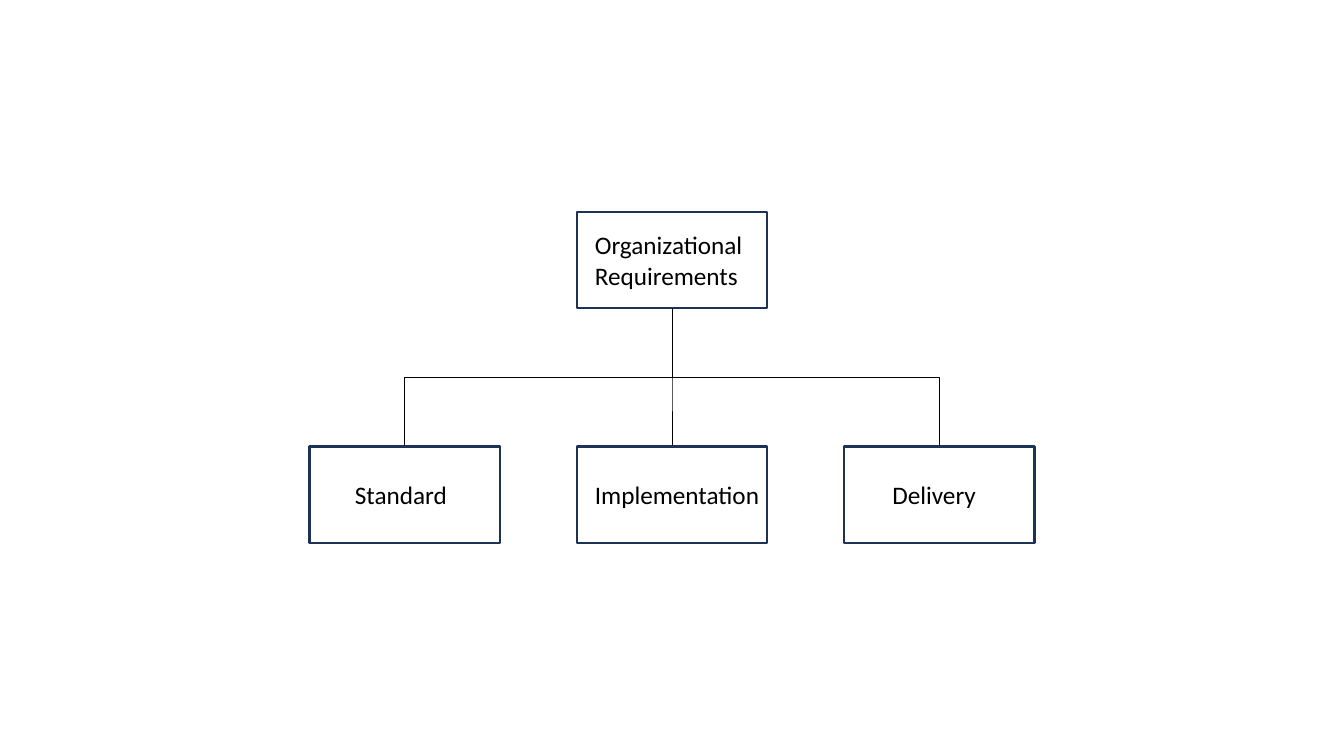
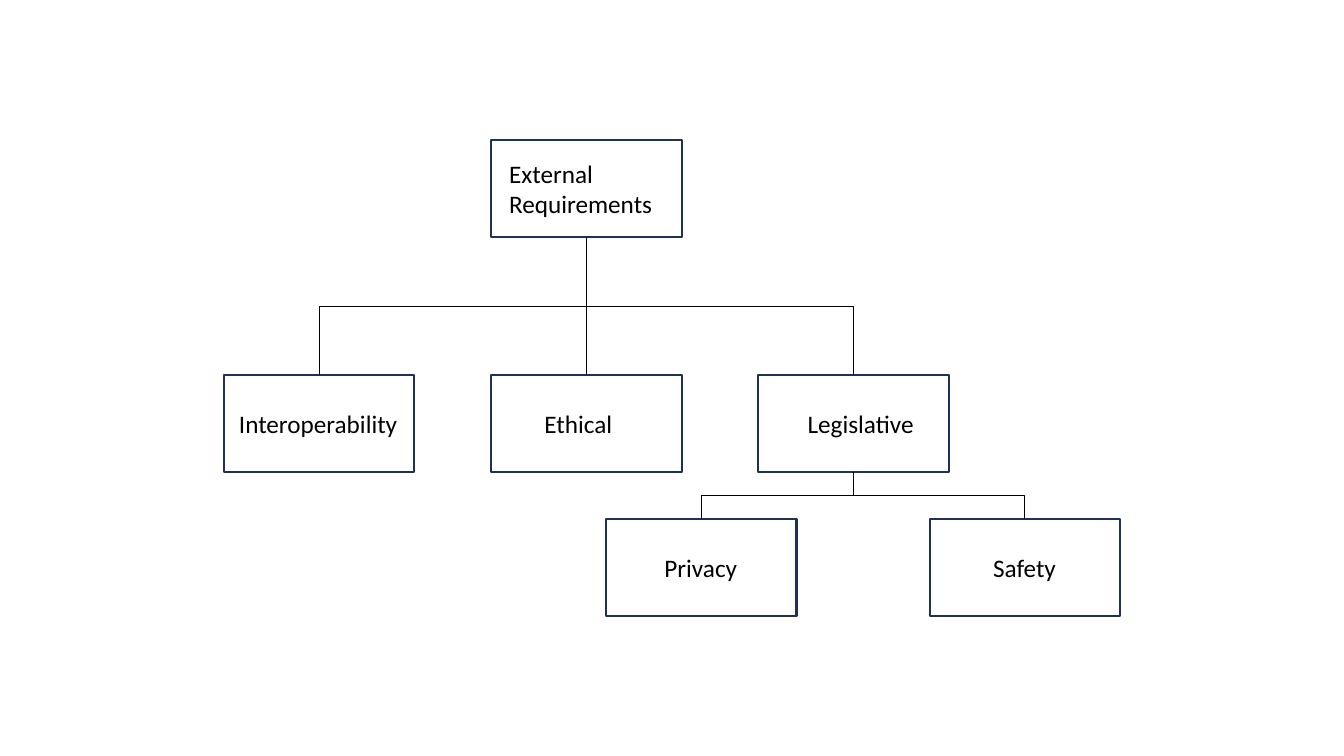
from dataclasses import dataclass

from lxml import etree
from pptx import Presentation, util as u
from pptx.dml.color import RGBColor
from pptx.enum import shapes, text
from pptx.oxml.ns import qn

BORDER = "1E3256"
INK = "000000"
FONT = "Calibri"
BOX_W, BOX_H = 1.89, 0.96
COL_STEP, ROW_STEP = 2.65, 2.33


@dataclass
class Node:
    lines: list[str]
    indent: float
    x: float
    y: float


@dataclass
class Chart:
    nodes: list[Node]
    links: list[tuple[int, int]]


def rgb(value: str) -> RGBColor:
    return RGBColor.from_string(value)


def root_with_row(root: Node, labels: list[tuple[str, float]]) -> Chart:
    row = [
        Node([label], indent, root.x + (i - 1) * COL_STEP, root.y + ROW_STEP)
        for i, (label, indent) in enumerate(labels)
    ]
    return Chart([root, *row], [(0, i + 1) for i in range(len(row))])


def add_node(s, node: Node):
    sp = s.shapes.add_shape(
        shapes.MSO_SHAPE.RECTANGLE,
        u.Inches(node.x), u.Inches(node.y), u.Inches(BOX_W), u.Inches(BOX_H),
    )
    sp.shadow.inherit = False
    sp.fill.background()
    sp.line.color.rgb = rgb(BORDER)
    sp.line.width = u.Pt(1.5)
    tf = sp.text_frame
    tf.word_wrap = True
    tf.vertical_anchor = text.MSO_ANCHOR.MIDDLE
    tf.margin_left = u.Inches(node.indent)
    tf.margin_right = 0
    for i, line in enumerate(node.lines):
        p = tf.add_paragraph() if i else tf.paragraphs[0]
        p.text = line
        p.alignment = text.PP_ALIGN.LEFT
        p.font.name = FONT
        p.font.size = u.Pt(18)
        p.font.color.rgb = rgb(INK)
    return sp


def add_link(s, parent, child) -> None:
    c = s.shapes.add_connector(shapes.MSO_CONNECTOR.ELBOW, 0, 0, 0, 0)
    c.begin_connect(parent, 2)
    c.end_connect(child, 0)
    start_x, start_y = parent.left + parent.width // 2, parent.top + parent.height
    end_x, end_y = child.left + child.width // 2, child.top
    run, drop = abs(end_x - start_x), end_y - start_y
    c.left = (start_x + end_x - drop) // 2
    c.top = (start_y + end_y - run) // 2
    c.width, c.height = drop, run
    rightward = end_x > start_x
    xfrm = c.element.spPr.find(qn("a:xfrm"))
    xfrm.set("rot", str((270 if rightward else 90) * 60000))
    xfrm.set("flipH", "1" if rightward else "0")
    xfrm.set("flipV", "0")
    c.line.color.rgb = rgb(INK)
    c.line.width = u.Pt(0.5)
    etree.SubElement(c.element.spPr, qn("a:effectLst"))


def add_chart_slide(prs, chart: Chart) -> None:
    s = prs.slides.add_slide(prs.slide_layouts[6])
    boxes = [add_node(s, node) for node in chart.nodes]
    for parent, child in chart.links:
        add_link(s, boxes[parent], boxes[child])


def main() -> None:
    prs = Presentation()
    prs.slide_width, prs.slide_height = u.Inches(13.33), u.Inches(7.5)

    organizational = root_with_row(
        Node(["Organizational", "Requirements"], 0.18, 5.72, 2.1),
        [("Standard", 0.45), ("Implementation", 0.18), ("Delivery", 0.48)],
    )
    external = root_with_row(
        Node(["External", "Requirements"], 0.18, 4.87, 1.39),
        [("Interoperability", 0.15), ("Ethical", 0.53), ("Legislative", 0.49)],
    )
    external.nodes += [
        Node(["Privacy"], 0.58, 6.01, 5.15),
        Node(["Safety"], 0.63, 9.22, 5.15),
    ]
    external.links += [(3, 4), (3, 5)]

    for chart in (organizational, external):
        add_chart_slide(prs, chart)
    prs.save("out.pptx")


if __name__ == "__main__":
    main()
